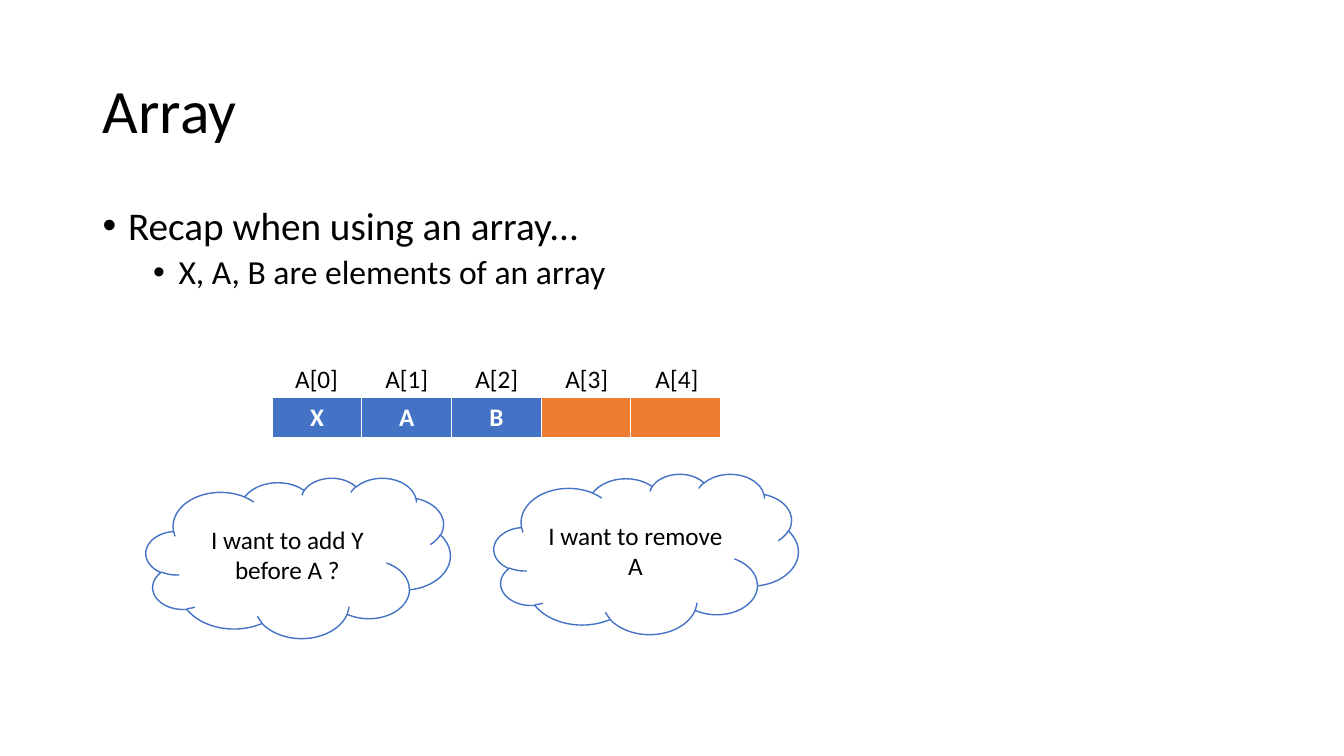
from dataclasses import dataclass
from typing import Any

from lxml.etree import SubElement
from pptx import Presentation
from pptx.dml.color import RGBColor
from pptx.enum.shapes import MSO_SHAPE
from pptx.enum.text import MSO_ANCHOR, MSO_AUTO_SIZE, PP_ALIGN
from pptx.oxml.ns import qn
from pptx.slide import Slide
from pptx.util import Cm, Pt

COLORS = {"ink": "000000", "paper": "FFFFFF", "used": "4472C4", "free": "ED7D31"}
FONT = "Calibri"
BORDERS = {"a:lnL": 1, "a:lnR": 1, "a:lnT": 1, "a:lnB": 3}
COLUMN_WIDTH = 2.26
LABEL_STEP = 2.27


@dataclass(frozen=True)
class Bullet:
    """A bulleted line of the body; the indent is in centimetres."""

    text: str
    size: int
    level: int
    indent: float
    space_before: int


@dataclass(frozen=True)
class Cloud:
    """A thought cloud placed in centimetres."""

    text: str
    left: float
    top: float


BULLETS = [
    Bullet("Recap when using an array...", 28, 0, 0.64, 10),
    Bullet("X, A, B are elements of an array", 24, 1, 1.91, 5),
]
ELEMENTS = ["X", "A", "B", "", ""]
CLOUDS = [
    Cloud("I want to add Y before A ?", 3.68, 12.04),
    Cloud("I want to remove A", 12.45, 11.94),
]


def color(name: str) -> RGBColor:
    """Return a named colour."""
    return RGBColor.from_string(COLORS[name])


def apply(target: Any, values: dict[str, Any]) -> None:
    """Set each attribute of the target from the format values."""
    for name, value in values.items():
        setattr(target, name, value)


def write(para: Any, text: str, size: int = 18, ink: str = "ink",
          bold: bool = False, **layout: Any) -> None:
    """Write one formatted span and lay out its paragraph."""
    span = para.add_run()
    span.text = text
    apply(span.font, {"name": FONT, "size": Pt(size), "bold": bold})
    span.font.color.rgb = color(ink)
    apply(para, layout)


def add_title(page: Slide) -> None:
    """Move and fill the title placeholder."""
    title = page.shapes.title
    apply(title, {"left": Cm(2.34), "top": Cm(1.02), "width": Cm(29.21), "height": Cm(3.68)})
    title.text_frame.vertical_anchor = MSO_ANCHOR.MIDDLE
    write(title.text_frame.paragraphs[0], "Array", 44,
          alignment=PP_ALIGN.LEFT, line_spacing=0.9)


def add_bullets(page: Slide) -> None:
    """Add the body with its bulleted lines."""
    frame = page.shapes.add_textbox(Cm(2.34), Cm(5.08), Cm(29.21), Cm(12.09)).text_frame
    frame.word_wrap = True
    for index, bullet in enumerate(BULLETS):
        para = frame.add_paragraph() if index else frame.paragraphs[0]
        write(para, bullet.text, bullet.size, level=bullet.level,
              line_spacing=0.9, space_before=Pt(bullet.space_before))
        properties = para._p.get_or_add_pPr()
        properties.set("marL", str(Cm(bullet.indent)))
        properties.set("indent", str(-Cm(0.64)))
        SubElement(properties, qn("a:buFont"), typeface="Arial")
        SubElement(properties, qn("a:buChar"), char="•")


def add_borders(cell: Any) -> None:
    """Draw the white borders of a table cell."""
    properties = cell._tc.get_or_add_tcPr()
    for side, width in BORDERS.items():
        line = SubElement(properties, qn(side), w=str(Pt(width)))
        fill = SubElement(line, qn("a:solidFill"))
        SubElement(fill, qn("a:srgbClr"), val=COLORS["paper"])


def add_array(page: Slide) -> None:
    """Add the array as a table with an index label above each cell."""
    count = len(ELEMENTS)
    table = page.shapes.add_table(1, count, Cm(6.86), Cm(10.01),
                                  Cm(COLUMN_WIDTH * count), Cm(1.04)).table
    for index, element in enumerate(ELEMENTS):
        table.columns[index].width = Cm(COLUMN_WIDTH)
        cell = table.cell(0, index)
        add_borders(cell)
        cell.fill.solid()
        cell.fill.fore_color.rgb = color("used" if element else "free")
        if element:
            write(cell.text_frame.paragraphs[0], element, ink="paper", bold=True,
                  alignment=PP_ALIGN.CENTER)
        label = page.shapes.add_textbox(Cm(7.19 + index * LABEL_STEP), Cm(9.02),
                                        Cm(1.6), Cm(1.02))
        apply(label.text_frame, {"word_wrap": False,
                                 "auto_size": MSO_AUTO_SIZE.SHAPE_TO_FIT_TEXT})
        write(label.text_frame.paragraphs[0], f"A[{index}]")


def add_cloud(page: Slide, cloud: Cloud) -> None:
    """Add one thought cloud."""
    shape = page.shapes.add_shape(MSO_SHAPE.CLOUD, Cm(cloud.left), Cm(cloud.top),
                                  Cm(7.67), Cm(4.04))
    shape.shadow.inherit = False
    shape.fill.solid()
    shape.fill.fore_color.rgb = color("paper")
    shape.line.color.rgb = color("used")
    shape.line.width = Pt(1)
    apply(shape.text_frame, {"word_wrap": True, "vertical_anchor": MSO_ANCHOR.MIDDLE})
    write(shape.text_frame.paragraphs[0], cloud.text, alignment=PP_ALIGN.CENTER)


def main() -> None:
    """Build the slide and save the deck."""
    deck = Presentation()
    apply(deck, {"slide_width": Cm(33.87), "slide_height": Cm(19.05)})
    page = deck.slides.add_slide(deck.slide_layouts.get_by_name("Title Only"))
    add_title(page)
    add_bullets(page)
    add_array(page)
    for cloud in CLOUDS:
        add_cloud(page, cloud)
    deck.save("out.pptx")


if __name__ == "__main__":
    main()
